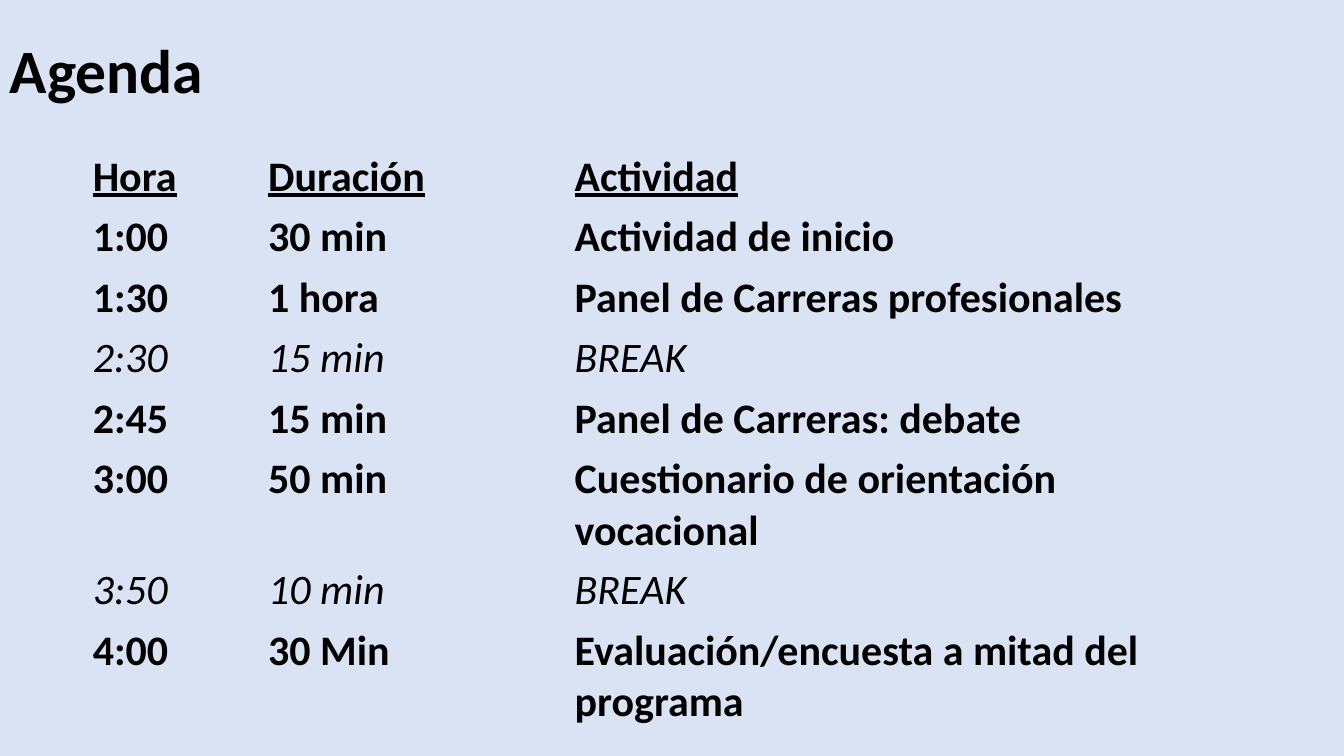
import pptx
import pptx.dml.color
import pptx.enum.text
import pptx.util
from pptx.util import Inches

COLORS = {"background": "DAE3F3", "text": "000000"}
NO_STYLE_NO_GRID = "{2D5ABB26-0587-4C30-8999-92F81FD0307C}"

HEADINGS = ("Hora", "Duración", "Actividad")
SESSIONS = [
    ("1:00", "30 min", "Actividad de inicio"),
    ("1:30", "1 hora", "Panel de Carreras profesionales"),
    ("2:30", "15 min", "BREAK"),
    ("2:45", "15 min", "Panel de Carreras: debate"),
    ("3:00", "50 min", "Cuestionario de orientación vocacional"),
    ("3:50", "10 min", "BREAK"),
    ("4:00", "30 Min", "Evaluación/encuesta a mitad del programa"),
]


class AgendaSlide:
    font_name = "Calibri"
    title_size = 44
    table_size = 30

    def __init__(self, presentation):
        self.slide = presentation.slides.add_slide(presentation.slide_layouts[6])
        fill = self.slide.background.fill
        fill.solid()
        fill.fore_color.rgb = self.color("background")

    def color(self, name):
        return pptx.dml.color.RGBColor.from_string(COLORS[name])

    def set_text(self, frame, text, size, bold=True, italic=False, underline=False):
        paragraph = frame.paragraphs[0]
        paragraph.text = text
        font = paragraph.font
        font.name = self.font_name
        font.size = pptx.util.Pt(size)
        font.bold, font.italic, font.underline = bold, italic, underline
        font.color.rgb = self.color("text")
        return paragraph

    def title(self, text, left, top, width, height):
        frame = self.slide.shapes.add_textbox(left, top, width, height).text_frame
        frame.word_wrap = True
        frame.vertical_anchor = pptx.enum.text.MSO_ANCHOR.MIDDLE
        self.set_text(frame, text, self.title_size).line_spacing = 0.9

    def schedule(self, headings, sessions, left, top, column_widths, row_height):
        rows = [headings, *sessions]
        schedule = self.slide.shapes.add_table(
            len(rows), len(headings), left, top,
            sum(column_widths), row_height * len(rows)).table
        schedule.first_row = schedule.horz_banding = False
        # A style without grid lines
        schedule._tbl.tblPr[0].text = NO_STYLE_NO_GRID
        for column, width in zip(schedule.columns, column_widths):
            column.width = width
        for row, texts in zip(schedule.rows, rows):
            is_break = texts[-1] == "BREAK"
            for cell, text in zip(row.cells, texts):
                cell.fill.background()
                self.set_text(cell.text_frame, text, self.table_size, bold=not is_break,
                              italic=is_break, underline=texts is headings)


def main():
    presentation = pptx.Presentation()
    presentation.slide_width = Inches(13.33)
    presentation.slide_height = Inches(7.5)
    agenda = AgendaSlide(presentation)

    # Heading
    agenda.title("Agenda", Inches(0), Inches(0), Inches(11.5), Inches(1.45))

    # Timetable
    agenda.schedule(HEADINGS, SESSIONS, Inches(0.82), Inches(1.45),
                    [Inches(width) for width in (1.74, 3.04, 6.73)], Inches(0.41))

    presentation.save("out.pptx")


if __name__ == "__main__":
    main()
